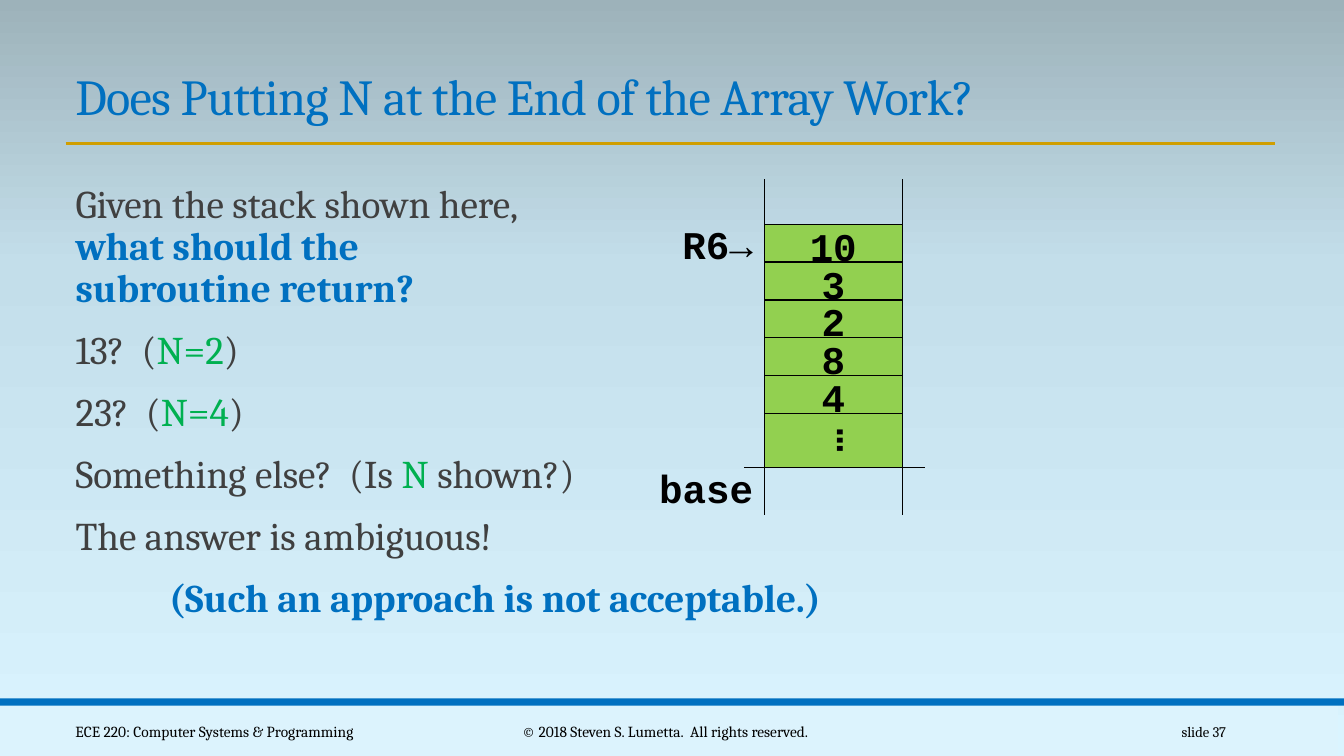
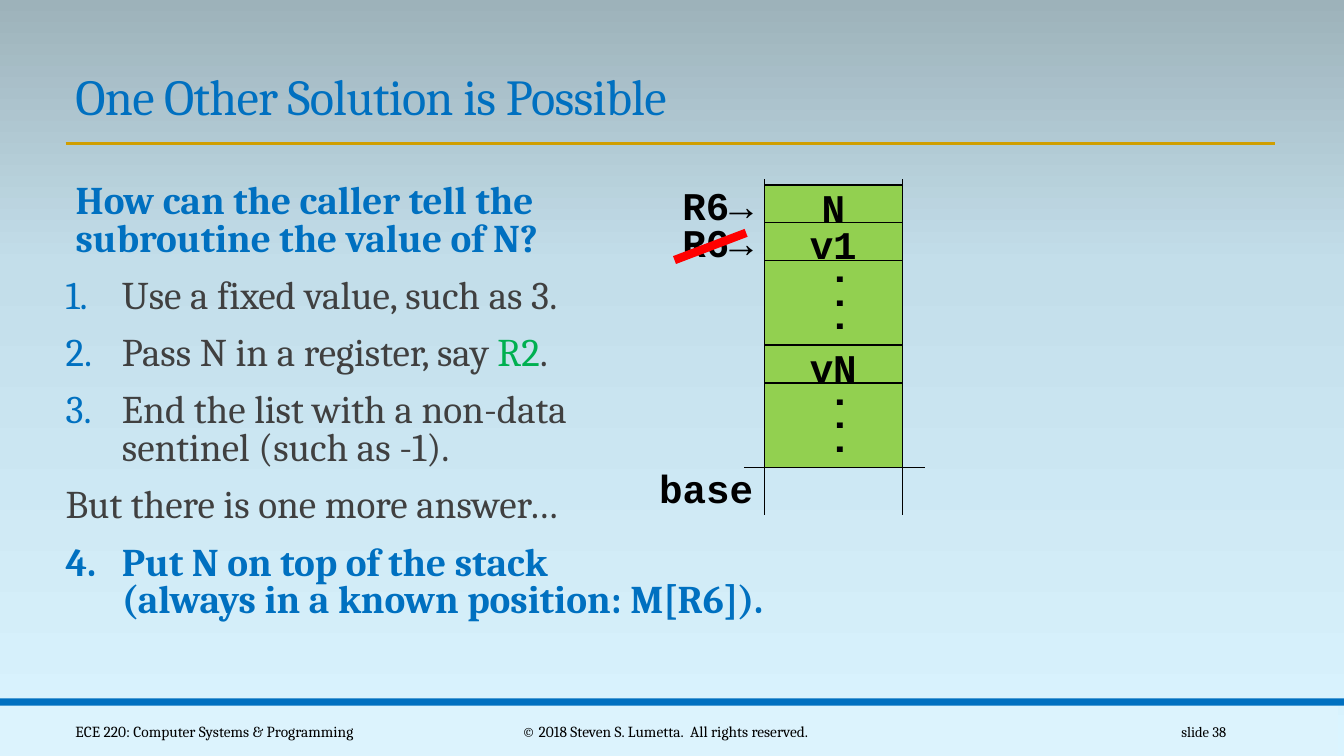
"""Build two lecture slides on passing an array length through a stack."""
from copy import deepcopy
from dataclasses import dataclass

from pptx import Presentation
from pptx.dml.color import RGBColor as RGB
from pptx.enum.shapes import MSO_CONNECTOR as Conn, MSO_SHAPE as Shape
from pptx.enum.text import MSO_ANCHOR as Anchor, MSO_AUTO_SIZE as Auto, PP_ALIGN as Align
from pptx.oxml.ns import qn
from pptx.oxml.xmlchemy import OxmlElement as Elem
from pptx.util import Inches, Pt


@dataclass(frozen=True)
class Theme:
    serif: str = "Cambria"
    mono: str = "Courier New"
    blue: str = "0070C0"
    gold: str = "D09E00"
    gray: str = "404040"
    green: str = "00B050"
    cell: str = "92D050"
    foot: str = "DCF3FD"
    black: str = "000000"
    red: str = "FF0000"
    sky: tuple = ((0, "DAF4FF"), (0.65, "C3DEEA"), (1, "9DB2BA"))
    big: float = 36
    main: float = 28
    small: float = 11
    tiny: float = 10.5


T = Theme()
FONTS = {
    "title": (T.serif, T.big, T.blue, False),
    "text": (T.serif, T.main, T.gray, False),
    "key": (T.serif, T.main, T.blue, True),
    "var": (T.serif, T.main, T.green, False),
    "code": (T.mono, T.main, T.black, True),
    "foot": (T.serif, T.small, T.black, False),
    "page": (T.serif, T.tiny, T.black, False),
}
FOOT = [
    ((4.03, 7.06, 5.14, 0.4), "© 2018 Steven S. Lumetta.  All rights reserved.", "foot", Align.CENTER),
    ((10.83, 7.06, 1.43, 0.4), "slide {}", "page", Align.RIGHT),
    ((0.65, 7.06, 3.62, 0.4), "ECE 220: Computer Systems & Programming", "foot", Align.LEFT),
]
ROW = 3 / 8
LEFT, RIGHT, BASE = 7.58, 8.95, 4.64
INDENT = {"flush": (0.1, 0), "plain": (0, 0), "mid": (0, 0), "num": (0.56, -0.56)}

SLIDES = [
    {
        "page": 37,
        "title": "Does Putting N at the End of the Array Work?",
        "lead": 0.9,
        "body": [
            ("flush", 0, [("Given the stack shown here,\n", "text"),
                          ("what should the\nsubroutine return?", "key")]),
            ("flush", 0, [("13?  (", "text"), ("N=2", "var"), (")", "text")]),
            ("flush", 0, [("23?  (", "text"), ("N=4", "var"), (")", "text")]),
            ("flush", 0, [("Something else?  (Is ", "text"), ("N", "var"), (" shown?)", "text")]),
            ("flush", 0, [("The answer is ambiguous!", "text")]),
            ("mid", 0, [("(Such an approach is not acceptable.)", "key")]),
        ],
        "stack": [("10", ROW, "R6→", False), ("3", ROW, "", False), ("2", ROW, "", False),
                  ("8", ROW, "", False), ("4", ROW, "", False), ("…", 0.54, "", False)],
    },
    {
        "page": 38,
        "title": "One Other Solution is Possible",
        "lead": 0.8,
        "body": [
            ("flush", 0, [("How can the caller tell the\nsubroutine the value of N?", "key")]),
            ("num", 1, [("Use a fixed value, such as 3.", "text")]),
            ("num", 1, [("Pass N in a register, say ", "text"), ("R2", "var"), (".", "text")]),
            ("num", 3, [("End the list with a non-data\nsentinel (such as -1).", "text")]),
            ("plain", 0, [("But there is one more answer…", "text")]),
            ("num", 4, [("Put N on top of the stack\n(always in a known position: M[R6]).", "key")]),
        ],
        "stack": [("N", ROW, "R6→", False), ("v1", ROW, "R6→", True), ("...", 0.84, "", False),
                  ("vN", ROW, "", False), ("...", 0.84, "", False)],
    },
]


def apply(obj, vals):
    for key, val in vals.items():
        setattr(obj, key, val)


def write(para, runs):
    for text, kind in runs:
        name, size, color, bold = FONTS[kind]
        for i, part in enumerate(text.split("\n")):
            if i:
                para.add_line_break()
            if part:
                run = para.add_run()
                run.text = part
                apply(run.font, {"name": name, "size": Pt(size), "bold": bold})
                run.font.color.rgb = RGB.from_string(color)


def label(slide, box, text, kind, align=Align.LEFT, **frame):
    shape = slide.shapes.add_textbox(*map(Inches, box))
    apply(shape.text_frame, {"word_wrap": True, "vertical_anchor": Anchor.MIDDLE, **frame})
    para = shape.text_frame.paragraphs[0]
    para.alignment = align
    write(para, [(text, kind)])
    return shape


def rect(slide, box, fill, edge=None):
    shape = slide.shapes.add_shape(Shape.RECTANGLE, *map(Inches, box))
    shape.shadow.inherit = False
    shape.fill.solid()
    shape.fill.fore_color.rgb = RGB.from_string(fill)
    if edge:
        shape.line.color.rgb = RGB.from_string(edge)
        shape.line.width = Pt(1)
    else:
        shape.line.fill.background()
    return shape


def line(slide, ends, color, width=1):
    wire = slide.shapes.add_connector(Conn.STRAIGHT, *map(Inches, ends))
    wire.line.color.rgb = RGB.from_string(color)
    wire.line.width = Pt(width)
    wire._element.spPr.append(Elem("a:effectLst"))


def number(props, start):
    tint = Elem("a:buClr")
    rgb = Elem("a:srgbClr")
    rgb.set("val", T.blue)
    tint.append(rgb)
    mark = Elem("a:buAutoNum")
    mark.set("type", "arabicPeriod")
    if start > 1:
        mark.set("startAt", str(start))
    props.extend([tint, mark])


def add_body(slide, items, lead):
    frame = slide.shapes.add_textbox(*map(Inches, (0.65, 1.78, 8.52, 4.64))).text_frame
    apply(frame, {"word_wrap": True, "margin_left": 0, "margin_right": 0})
    for i, (kind, start, runs) in enumerate(items):
        para = frame.add_paragraph() if i else frame.paragraphs[0]
        apply(para, {"line_spacing": lead, "space_before": Pt(12 if i else 0), "space_after": Pt(2),
                     "alignment": Align.CENTER if kind == "mid" else Align.LEFT})
        props = para._p.get_or_add_pPr()
        for key, val in zip(("marL", "indent"), INDENT[kind]):
            props.set(key, str(Inches(val)))
        if start:
            number(props, start)
        write(para, runs)


def tag(slide, text, top):
    wide = 0.23 * len(text) + 0.22
    label(slide, (LEFT - wide, top, wide, 0.57), text, "code", word_wrap=False,
          vertical_anchor=Anchor.TOP, auto_size=Auto.SHAPE_TO_FIT_TEXT)


def add_cell(slide, text, top, high):
    cell = rect(slide, (LEFT, top, RIGHT - LEFT, high), T.cell, T.black)
    if high > ROW:
        wide = 0.23 * len(text) + 0.21
        mid = (LEFT + RIGHT) / 2 - 0.06
        dots = label(slide, (mid - wide / 2, top + high / 2 - 0.28, wide, 0.57), text, "code",
                     Align.CENTER, word_wrap=False)
        dots.rotation = 270
        return
    apply(cell.text_frame, {"word_wrap": False, "vertical_anchor": Anchor.MIDDLE,
                            "margin_top": Inches(0.05), "margin_bottom": 0})
    para = cell.text_frame.paragraphs[0]
    para.alignment = Align.CENTER
    write(para, [(text, "code")])


def add_stack(slide, rows):
    for x in (LEFT, RIGHT):
        line(slide, (x, 1.78, x, 5.11), T.black)
    line(slide, (9.17, BASE, 7.38, BASE), T.black)
    tag(slide, "base", BASE - 0.08)
    top = BASE - sum(row[1] for row in rows)
    for text, high, mark, struck in rows:
        add_cell(slide, text, top, high)
        if mark:
            tag(slide, mark, top - 0.09)
        if struck:
            line(slide, (6.69, top + 0.37, 7.4, top + 0.1), T.red, 6)
        top += high


def add_frame(slide, title, page):
    rect(slide, (-0.06, 7, 13.33, 0.5), T.foot)
    rect(slide, (0, 6.93, 13.33, 0.07), T.blue)
    line(slide, (0.65, 1.42, 12.65, 1.42), T.gold, 2)
    head = label(slide, (0.65, 0.59, 12.01, 0.71), title, "title", vertical_anchor=Anchor.BOTTOM)
    para = head.text_frame.paragraphs[0]
    para.line_spacing = 0.85
    para.runs[0].font._element.set("spc", "-50")
    for box, text, kind, align in FOOT:
        label(slide, box, text.format(page), kind, align)


def paint(master):
    fill = master.background.fill
    fill.gradient()
    fill.gradient_angle = 90
    stops = master.element.find(".//" + qn("a:gsLst"))
    stops.append(deepcopy(stops[-1]))
    for stop, (place, color) in zip(fill.gradient_stops, T.sky):
        stop.position = place
        stop.color.rgb = RGB.from_string(color)


def main():
    deck = Presentation()
    apply(deck, {"slide_width": Inches(13.33), "slide_height": Inches(7.5)})
    paint(deck.slide_master)
    for data in SLIDES:
        slide = deck.slides.add_slide(deck.slide_layouts[6])
        add_frame(slide, data["title"], data["page"])
        add_body(slide, data["body"], data["lead"])
        add_stack(slide, data["stack"])
    deck.save("out.pptx")


if __name__ == "__main__":
    main()
